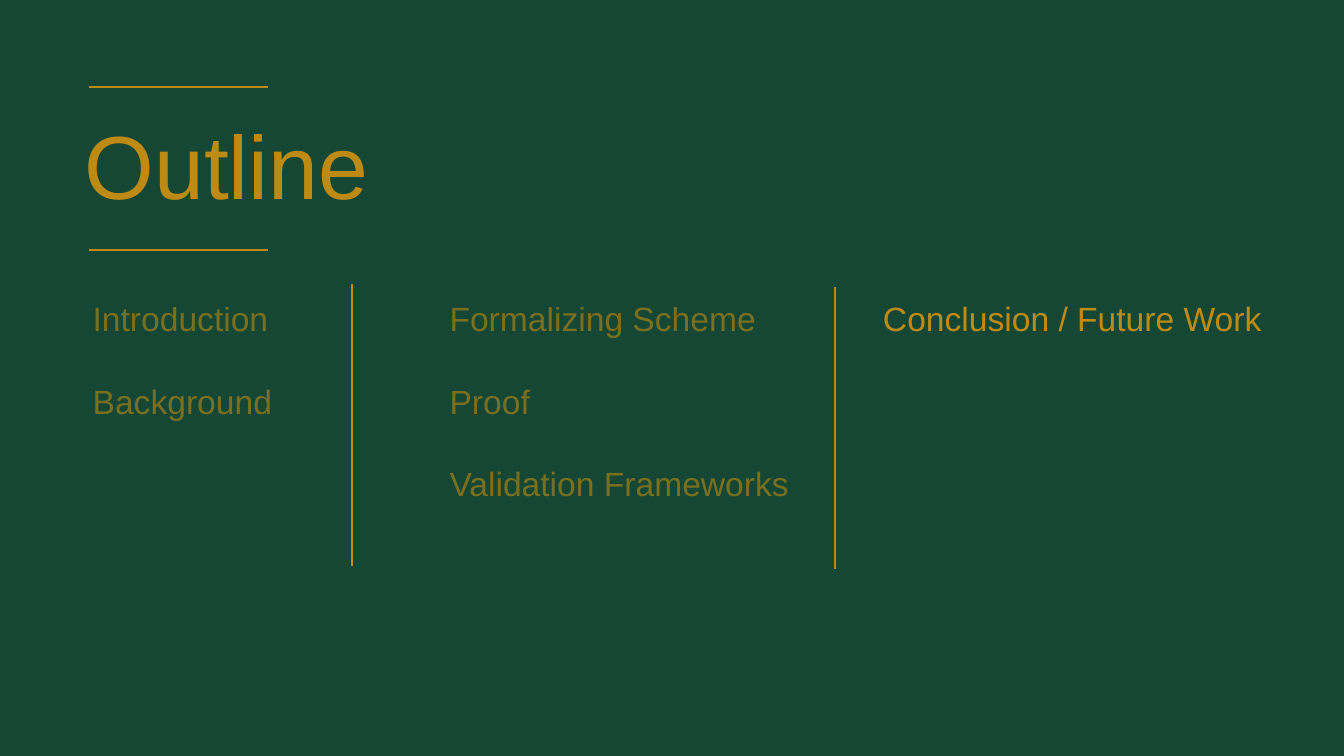
"""Build the outline slide with three topic columns, the last one highlighted."""
from dataclasses import dataclass

from lxml.etree import SubElement
from pptx import Presentation
from pptx.dml.color import RGBColor
from pptx.enum.shapes import MSO_CONNECTOR
from pptx.enum.text import MSO_ANCHOR, MSO_AUTO_SIZE, PP_ALIGN
from pptx.oxml.ns import qn
from pptx.slide import Slide
from pptx.util import Pt

GREEN = RGBColor(0x15, 0x47, 0x34)
GOLD = RGBColor(0xBD, 0x8B, 0x13)
DIVIDER_GOLD = RGBColor(0xBD, 0x8A, 0x0E)
COMPARISON_LAYOUT = 4
FRAME_FORMAT = {
    "word_wrap": True,
    "auto_size": MSO_AUTO_SIZE.NONE,
    "margin_left": Pt(7.2),
    "margin_right": Pt(7.2),
    "margin_top": Pt(3.6),
    "margin_bottom": Pt(3.6),
}


@dataclass(frozen=True)
class Rule:
    left: float
    top: float
    width: float
    height: float
    color: RGBColor


@dataclass(frozen=True)
class TextBlock:
    placeholder: int
    left: float
    top: float
    width: float
    height: float
    lines: tuple[str, ...]
    size: float = 24
    opacity: int = 100
    anchor: MSO_ANCHOR = MSO_ANCHOR.TOP
    spacing: float = 1
    gap: float = 29.9


RULES = (
    Rule(63.4, 61.9, 128.2, 0, GOLD),
    Rule(63.4, 178.6, 128.2, 0, GOLD),
    Rule(251.3, 203, 0, 201.6, DIVIDER_GOLD),
    Rule(596.2, 205.2, 0, 201.6, DIVIDER_GOLD),
)
BLOCKS = (
    TextBlock(0, 53.3, 3.6, 843.8, 236.2, ("Outline",), size=64,
              anchor=MSO_ANCHOR.MIDDLE, spacing=0.9, gap=0),
    TextBlock(1, 59, 209.5, 159.8, 123.8, ("Introduction", "Background"), opacity=60),
    TextBlock(2, 313.9, 209.5, 267.1, 152.6,
              ("Formalizing Scheme", "Proof", "Validation Frameworks"), opacity=60),
    TextBlock(3, 623.5, 209.5, 302.4, 36, ("Conclusion / Future Work",)),
)


def apply(target: object, values: dict[str, object]) -> None:
    for name, value in values.items():
        setattr(target, name, value)


def draw_rule(slide: Slide, rule: Rule) -> None:
    connector = slide.shapes.add_connector(
        MSO_CONNECTOR.STRAIGHT, Pt(rule.left), Pt(rule.top),
        Pt(rule.left + rule.width), Pt(rule.top + rule.height))
    connector.line.color.rgb = rule.color
    connector.line.width = Pt(1.5)
    SubElement(connector._element.spPr, qn("a:effectLst"))


def fill_block(slide: Slide, block: TextBlock) -> None:
    holder = next(p for p in slide.placeholders
                  if p.placeholder_format.idx == block.placeholder)
    apply(holder, {"left": Pt(block.left), "top": Pt(block.top),
                   "width": Pt(block.width), "height": Pt(block.height)})
    frame = holder.text_frame
    apply(frame, FRAME_FORMAT | {"vertical_anchor": block.anchor})
    frame.text = "\n".join(block.lines)
    for paragraph in frame.paragraphs:
        apply(paragraph, {"alignment": PP_ALIGN.LEFT, "line_spacing": block.spacing,
                          "space_before": Pt(0), "space_after": Pt(block.gap)})
        properties = paragraph._p.get_or_add_pPr()
        properties.set("marL", "0")
        properties.set("indent", "0")
        SubElement(properties, qn("a:buNone"))
        font = paragraph.runs[0].font
        apply(font, {"name": "Arial", "size": Pt(block.size), "bold": False})
        font.fill.solid()
        font.fill.fore_color.rgb = GOLD
        if block.opacity < 100:
            color = font._element.find(".//" + qn("a:srgbClr"))
            SubElement(color, qn("a:alpha"), val=str(block.opacity * 1000))


def main() -> None:
    presentation = Presentation()
    apply(presentation, {"slide_width": Pt(960), "slide_height": Pt(540)})
    slide = presentation.slides.add_slide(presentation.slide_layouts[COMPARISON_LAYOUT])
    slide.background.fill.solid()
    slide.background.fill.fore_color.rgb = GREEN
    for block in BLOCKS:
        fill_block(slide, block)
    for rule in RULES:
        draw_rule(slide, rule)
    used = {block.placeholder for block in BLOCKS}
    for holder in list(slide.placeholders):
        if holder.placeholder_format.idx not in used:
            holder._element.getparent().remove(holder._element)
    presentation.save("out.pptx")


if __name__ == "__main__":
    main()
